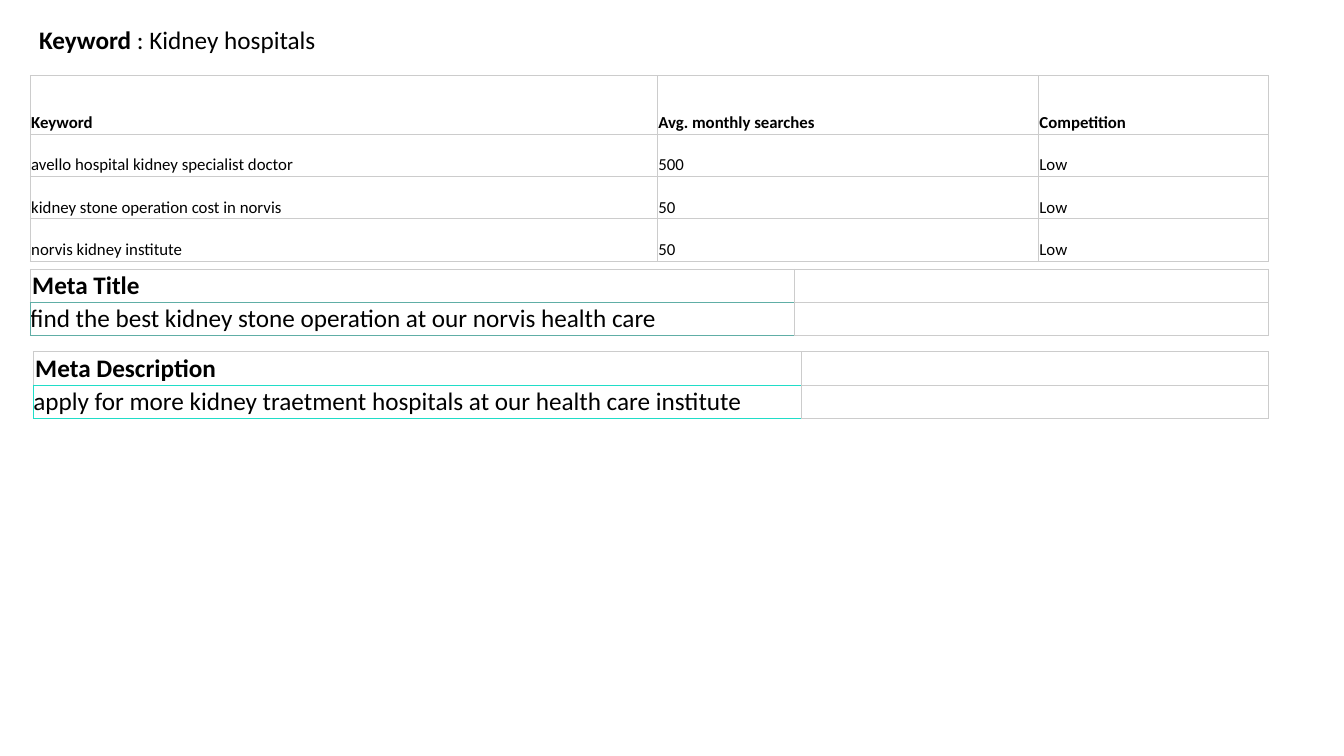
from dataclasses import dataclass

from lxml.etree import SubElement
from pptx import Presentation
from pptx.dml.color import RGBColor
from pptx.enum.text import MSO_ANCHOR, MSO_AUTO_SIZE
from pptx.oxml.ns import qn
from pptx.util import Inches, Pt

HEADING = [("Keyword", True), (" : Kidney hospitals", False)]
KEYWORDS = [
    ("Keyword", "Avg. monthly searches", "Competition"),
    ("avello hospital kidney specialist doctor", "500", "Low"),
    ("kidney stone operation cost in norvis", "50", "Low"),
    ("norvis kidney institute", "50", "Low"),
]
META_TITLE = [
    ("Meta Title", ""),
    ("find the best kidney stone operation at our norvis health care", ""),
]
META_DESCRIPTION = [
    ("Meta Description", ""),
    ("apply for more kidney traetment hospitals at our health care institute", ""),
]


@dataclass(frozen=True)
class Theme:
    font: str = "Calibri"
    text: str = "000000"
    grid: str = "CCCCCC"
    title_accent: str = "60AEA6"
    description_accent: str = "20DDC8"
    large: int = 18
    small: int = 12
    border: float = 0.5


THEME = Theme()


def add_run(paragraph, text, size, bold):
    run = paragraph.add_run()
    run.text = text
    run.font.name = THEME.font
    run.font.size = Pt(size)
    run.font.bold = bold
    run.font.color.rgb = RGBColor.from_string(THEME.text)


def set_borders(cell, left, right, top, bottom):
    """Line the four sides; the lines must precede the cell's fill in the XML."""
    properties = cell._tc.get_or_add_tcPr()
    for side, color in zip("LRTB", (left, right, top, bottom)):
        line = SubElement(properties, qn(f"a:ln{side}"), w=str(Pt(THEME.border)))
        fill = SubElement(line, qn("a:solidFill"))
        SubElement(fill, qn("a:srgbClr"), val=color)


def add_grid(slide, rows, left, top, widths, heights, size, insets, accent=THEME.grid):
    """Add a table whose first column's last row is outlined in the accent."""
    table = slide.shapes.add_table(
        len(rows), len(widths), Inches(left), Inches(top),
        Inches(sum(widths)), Inches(sum(heights))).table
    table.first_row = False
    table.horz_banding = False
    for column, width in zip(table.columns, widths):
        column.width = Inches(width)
    for row, height in zip(table.rows, heights):
        row.height = Inches(height)

    last = len(rows) - 1
    for r, texts in enumerate(rows):
        for c, text in enumerate(texts):
            cell = table.cell(r, c)
            cell.margin_left = cell.margin_right = Inches(insets[min(r, 1)])
            cell.margin_top = cell.margin_bottom = Inches(0.01)
            cell.vertical_anchor = MSO_ANCHOR.BOTTOM
            side = accent if c == 0 and r == last else THEME.grid
            below = accent if c == 0 and r >= last - 1 else THEME.grid
            set_borders(cell, side, THEME.grid, side, below)
            cell.fill.background()
            if text:
                add_run(cell.text_frame.paragraphs[0], text, size, r == 0)


def add_heading(slide):
    box = slide.shapes.add_textbox(Inches(0.29), Inches(0.19), Inches(6.67), Inches(0.4))
    frame = box.text_frame
    frame.word_wrap = True
    frame.auto_size = MSO_AUTO_SIZE.SHAPE_TO_FIT_TEXT
    for text, bold in HEADING:
        add_run(frame.paragraphs[0], text, THEME.large, bold)


def main():
    presentation = Presentation()
    presentation.slide_width = Inches(13.33)
    presentation.slide_height = Inches(7.5)
    slide = presentation.slides.add_slide(presentation.slide_layouts[6])

    add_grid(slide, KEYWORDS, 0.3, 0.75, (6.22, 3.78, 2.28),
             (0.58, 0.42, 0.42, 0.42), THEME.small, (0.01, 0.01))
    add_grid(slide, META_TITLE, 0.3, 2.67, (7.58, 4.7), (0.33, 0.33),
             THEME.large, (0.02, 0), THEME.title_accent)
    add_grid(slide, META_DESCRIPTION, 0.33, 3.49, (7.62, 4.63), (0.33, 0.33),
             THEME.large, (0.02, 0), THEME.description_accent)
    add_heading(slide)
    presentation.save("out.pptx")


if __name__ == "__main__":
    main()
